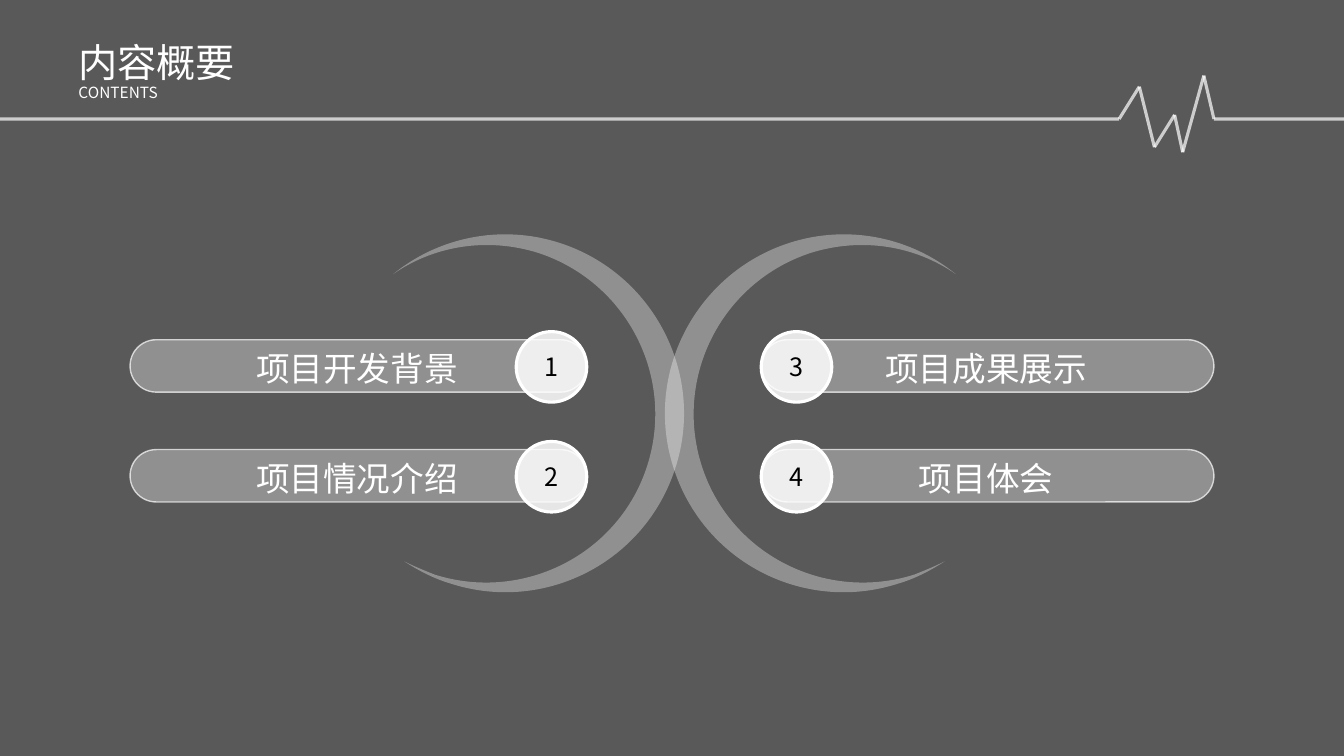
from itertools import pairwise
from math import cos, radians, sin

from lxml.etree import SubElement
from pptx import Presentation
from pptx.dml.color import RGBColor
from pptx.enum.shapes import MSO_CONNECTOR, MSO_SHAPE
from pptx.enum.text import MSO_ANCHOR, MSO_AUTO_SIZE, PP_ALIGN
from pptx.oxml.ns import qn
from pptx.util import Inches, Pt

FONT = "Noto Sans CJK JP"
WHITE, PALE, BLACK = "FFFFFF", "FCFCFC", "000000"
PULSE = [(0, 1.18), (11.1, 1.18), (11.3, 0.86), (11.45, 1.46), (11.65, 1.14),
         (11.73, 1.51), (11.94, 0.75), (12.04, 1.18), (13.34, 1.18)]

# Left crescent: a start point, then cubic curves (two controls and an end)
CRESCENT_START = (5.55, 2.41)
CRESCENT_CURVES = [
    ((6.48, 2.71), (7, 3.71), (6.7, 4.64)),
    ((6.4, 5.58), (5.4, 6.09), (4.47, 5.79)),
    ((4.3, 5.74), (4.15, 5.66), (4.01, 5.57)),
    ((4.11, 5.62), (4.21, 5.66), (4.31, 5.7)),
    ((5.19, 5.98), (6.14, 5.5), (6.42, 4.62)),
    ((6.7, 3.74), (6.22, 2.8), (5.34, 2.51)),
    ((4.83, 2.35), (4.3, 2.44), (3.9, 2.72)),
    ((4.34, 2.36), (4.96, 2.22), (5.55, 2.41)),
]
CRESCENT_LEFTS = (3.52, 6.6)
CRESCENT_TOP, CRESCENT_WIDTH, CRESCENT_HEIGHT = 2.37, 3.26, 3.55
CRESCENT_TILT = 17.8

# Bar left, bar width, circle left, label left, entries
COLUMNS = [
    (1.29, 4.53, 5.12, 1.26, ["项目开发背景", "项目情况介绍"]),
    (7.55, 4.49, 7.55, 7.5, ["项目成果展示", "项目体会"]),
]
ROW_TOP, ROW_STEP = 3.29, 1.09


def set_color(color_holder, color, opacity=100):
    """Apply a solid colour to a fill, with optional transparency."""
    color_holder.solid()
    color_holder.fore_color.rgb = RGBColor.from_string(color)
    if opacity < 100:
        element = color_holder._xPr.find(qn("a:solidFill"))[0]
        SubElement(element, qn("a:alpha"), val=str(opacity * 1000))


def set_line(line, width, opacity=100):
    line.width = Pt(width)
    set_color(line.fill, WHITE, opacity)


def style_text(paragraph, text, size, color, alignment=PP_ALIGN.LEFT):
    paragraph.text = text
    paragraph.alignment = alignment
    font = paragraph.font
    font.size = Pt(size)
    font.name = FONT
    set_color(font.fill, color)
    SubElement(font._element, qn("a:ea"), typeface=FONT)


def add_panel(slide, kind, left, top, width, height, color, opacity, line=None):
    shape = slide.shapes.add_shape(
        kind, Inches(left), Inches(top), Inches(width), Inches(height))
    shape.shadow.inherit = False
    set_color(shape.fill, color, opacity)
    if line:
        set_line(shape.line, *line)
    else:
        shape.line.fill.background()
    return shape


def add_label(slide, left, top, width, height, text, size,
              alignment=PP_ALIGN.LEFT):
    box = slide.shapes.add_textbox(
        Inches(left), Inches(top), Inches(width), Inches(height))
    frame = box.text_frame
    frame.word_wrap = True
    frame.auto_size = MSO_AUTO_SIZE.SHAPE_TO_FIT_TEXT
    style_text(frame.paragraphs[0], text, size, WHITE, alignment)
    return frame.paragraphs[0]


def add_pulse_line(slide):
    for start, end in pairwise(PULSE):
        connector = slide.shapes.add_connector(
            MSO_CONNECTOR.STRAIGHT, *map(Inches, start + end))
        set_line(connector.line, 2.25, 70)
        SubElement(connector._element.spPr, qn("a:effectLst"))


def crescent_point(point, mirrored):
    """Turn a point back by the tilt and measure it from the box corner."""
    x = point[0] - CRESCENT_LEFTS[0] - CRESCENT_WIDTH / 2
    y = point[1] - CRESCENT_TOP - CRESCENT_HEIGHT / 2
    cosine, sine = cos(radians(CRESCENT_TILT)), sin(radians(CRESCENT_TILT))
    across, down = x * cosine + y * sine, y * cosine - x * sine
    if mirrored:
        across = -across
    return across + CRESCENT_WIDTH / 2, down + CRESCENT_HEIGHT / 2


def add_crescent(slide, left, mirrored):
    # A rectangle outline fixes the box; curves then take its place
    right, bottom = left + CRESCENT_WIDTH, CRESCENT_TOP + CRESCENT_HEIGHT
    builder = slide.shapes.build_freeform(Inches(left), Inches(CRESCENT_TOP))
    builder.add_line_segments(
        [(Inches(x), Inches(y)) for x, y in
         ((right, CRESCENT_TOP), (right, bottom), (left, bottom))])
    shape = builder.convert_to_shape()
    outline = shape._element.find(".//" + qn("a:path"))
    for segment in list(outline):
        outline.remove(segment)
    segments = [("a:moveTo", [CRESCENT_START])]
    segments += [("a:cubicBezTo", curve) for curve in CRESCENT_CURVES]
    for tag, points in segments:
        segment = SubElement(outline, qn(tag))
        for point in points:
            x, y = crescent_point(point, mirrored)
            SubElement(segment, qn("a:pt"), x=str(Inches(x)), y=str(Inches(y)))
    SubElement(outline, qn("a:close"))

    shape.rotation = 360 - CRESCENT_TILT if mirrored else CRESCENT_TILT
    shape.shadow.inherit = False
    set_color(shape.fill, PALE, 34)
    shape.line.fill.background()


def add_entry(slide, number, text, top, bar_left, bar_width, circle_left,
              label_left):
    bar = add_panel(slide, MSO_SHAPE.ROUNDED_RECTANGLE, bar_left, top + 0.08,
                    bar_width, 0.52, PALE, 34, (1, 70))
    bar.adjustments[0] = 0.5
    circle = add_panel(slide, MSO_SHAPE.OVAL, circle_left, top, 0.7, 0.7,
                       WHITE, 85, (2.25,))
    circle.text_frame.vertical_anchor = MSO_ANCHOR.MIDDLE
    style_text(circle.text_frame.paragraphs[0], str(number), 18, BLACK,
               PP_ALIGN.CENTER)
    add_label(slide, label_left, top + 0.11, 4.56, 0.5, text, 24,
              PP_ALIGN.CENTER)


def main():
    presentation = Presentation()
    presentation.slide_width = Inches(13.33)
    presentation.slide_height = Inches(7.5)
    slide = presentation.slides.add_slide(presentation.slide_layouts[6])

    # Backdrop and heading
    add_panel(slide, MSO_SHAPE.RECTANGLE, 0, 0, 13.33, 7.5, BLACK, 65)
    add_pulse_line(slide)
    add_label(slide, 0.68, 0.33, 3.88, 0.57, "内容概要", 28)
    subtitle = add_label(slide, 0.68, 0.75, 4.35, 0.3, "CONTENTS", 11)
    subtitle.line_spacing = 1.14

    # Crescents, back to back
    for left, mirrored in zip(CRESCENT_LEFTS, (False, True)):
        add_crescent(slide, left, mirrored)

    # Numbered entries
    number = 1
    for *column, entries in COLUMNS:
        for row, text in enumerate(entries):
            add_entry(slide, number, text, ROW_TOP + row * ROW_STEP, *column)
            number += 1

    presentation.save("out.pptx")


if __name__ == "__main__":
    main()
